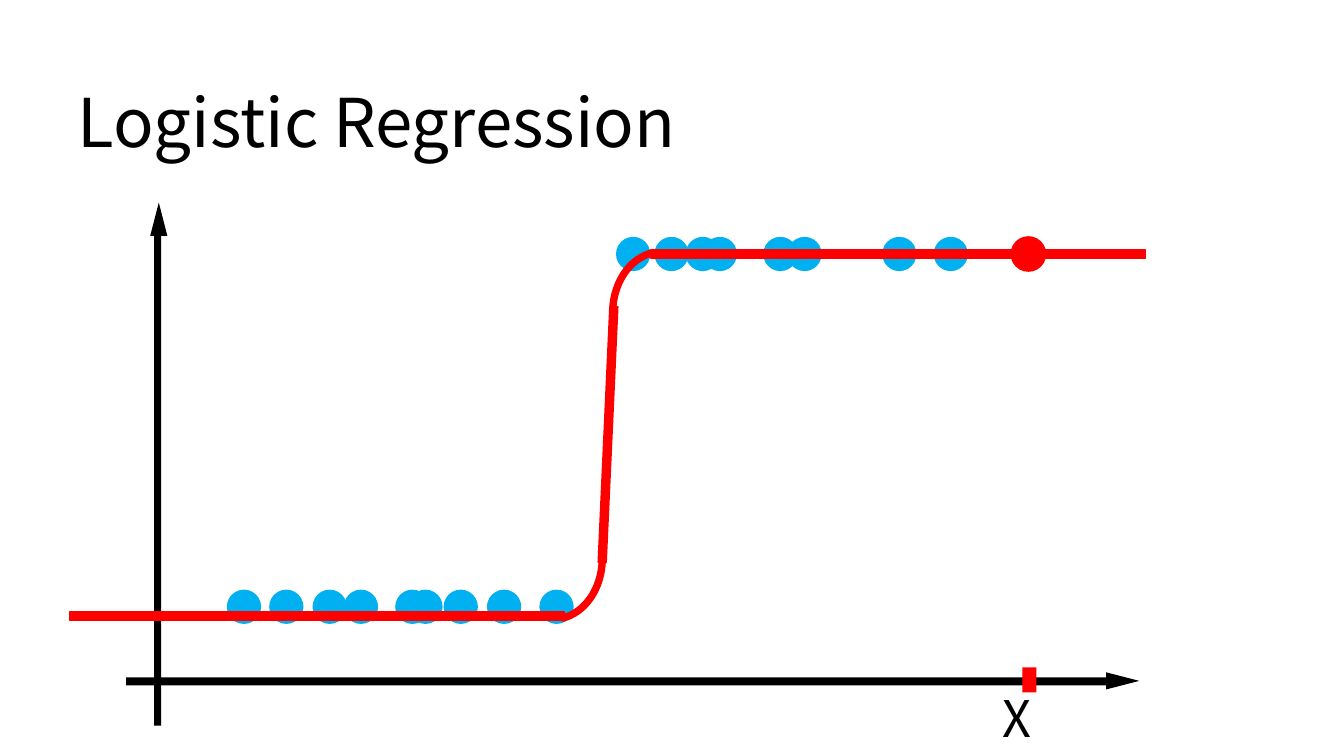
from pptx import Presentation
from pptx.dml.color import RGBColor
from pptx.enum import shapes, text
from pptx.util import Inches, Pt

BLACK = RGBColor(0x00, 0x00, 0x00)
BLUE = RGBColor(0x00, 0xB0, 0xF0)
RED = RGBColor(0xFF, 0x00, 0x00)
FONT = "Noto Sans CJK KR"
KIND = shapes.MSO_SHAPE
DOT = 0.34

deck = Presentation()
deck.slide_width, deck.slide_height = Inches(13.33), Inches(7.5)
slide = deck.slides.add_slide(deck.slide_layouts[5])


def write(holder, words, box, size, anchor=text.MSO_ANCHOR.TOP):
    """Place a text holder and fill it with formatted, left-aligned words."""
    holder.left, holder.top, holder.width, holder.height = map(Inches, box)
    frame = holder.text_frame
    frame.word_wrap = True
    frame.auto_size = text.MSO_AUTO_SIZE.NONE
    frame.vertical_anchor = anchor
    line = frame.paragraphs[0]
    line.alignment = text.PP_ALIGN.LEFT
    line.line_spacing = 0.9
    run = line.add_run()
    run.text = words
    run.font.name, run.font.size = FONT, Pt(size)
    run.font.color.rgb = BLACK


def draw(kind, box, color, outlined=False, rotation=0):
    """Add a flat filled shape, optionally with a 1 pt outline."""
    shape = slide.shapes.add_shape(kind, *map(Inches, box))
    shape.shadow.inherit = False
    shape.fill.solid()
    shape.fill.fore_color.rgb = color
    if outlined:
        shape.line.color.rgb = color
        shape.line.width = Pt(1)
    else:
        shape.line.fill.background()
    shape.rotation = rotation
    return shape


write(slide.shapes.title, "Logistic Regression", (0.67, 0.84, 11.39, 0.91), 48)

# Axes with their arrowheads
draw(KIND.RECTANGLE, (1.53, 2.19, 0.07, 5.01), BLACK)
draw(KIND.ISOSCELES_TRIANGLE, (1.49, 2.01, 0.17, 0.33), BLACK)
draw(KIND.RECTANGLE, (1.25, 6.72, 9.72, 0.08), BLACK)
draw(KIND.ISOSCELES_TRIANGLE, (11.05, 6.59, 0.17, 0.33), BLACK, rotation=90)

# Observations of the two classes
classes = {
    5.85: (2.25, 2.67, 3.1, 3.41, 3.92, 4.05, 4.4, 4.83, 5.35),
    2.35: (6.11, 6.49, 6.8, 6.97, 7.57, 7.81, 8.75, 9.26),
}
for top, lefts in classes.items():
    for left in lefts:
        draw(KIND.OVAL, (left, top, DOT, DOT), BLUE)

# New value X and its predicted class
draw(KIND.RECTANGLE, (10.14, 6.62, 0.14, 0.25), RED)
write(slide.shapes.add_textbox(0, 0, 0, 0), "X", (9.84, 6.84, 0.74, 0.71), 36)
draw(KIND.OVAL, (10.03, 2.35, DOT, DOT), RED, outlined=True)

# Sigmoid: a flat part and a bend at each end, joined by the steep part
for flat_at, bend_at, turn in (((6.45, 2.48), (6.04, 2.46), 0),
                               ((0.69, 6.07), (4.96, 4.9), 180)):
    draw(KIND.RECTANGLE, (*flat_at, 4.91, 0.08), RED, outlined=True)
    bend = draw(KIND.BLOCK_ARC, (*bend_at, 1.05, 1.28), RED, rotation=turn)
    for index, value in enumerate((108, 156.88, 0.07)):
        bend.adjustments[index] = value
draw(KIND.RECTANGLE, (4.76, 4.27, 2.54, 0.08), RED, outlined=True, rotation=92.6)

deck.save("out.pptx")
